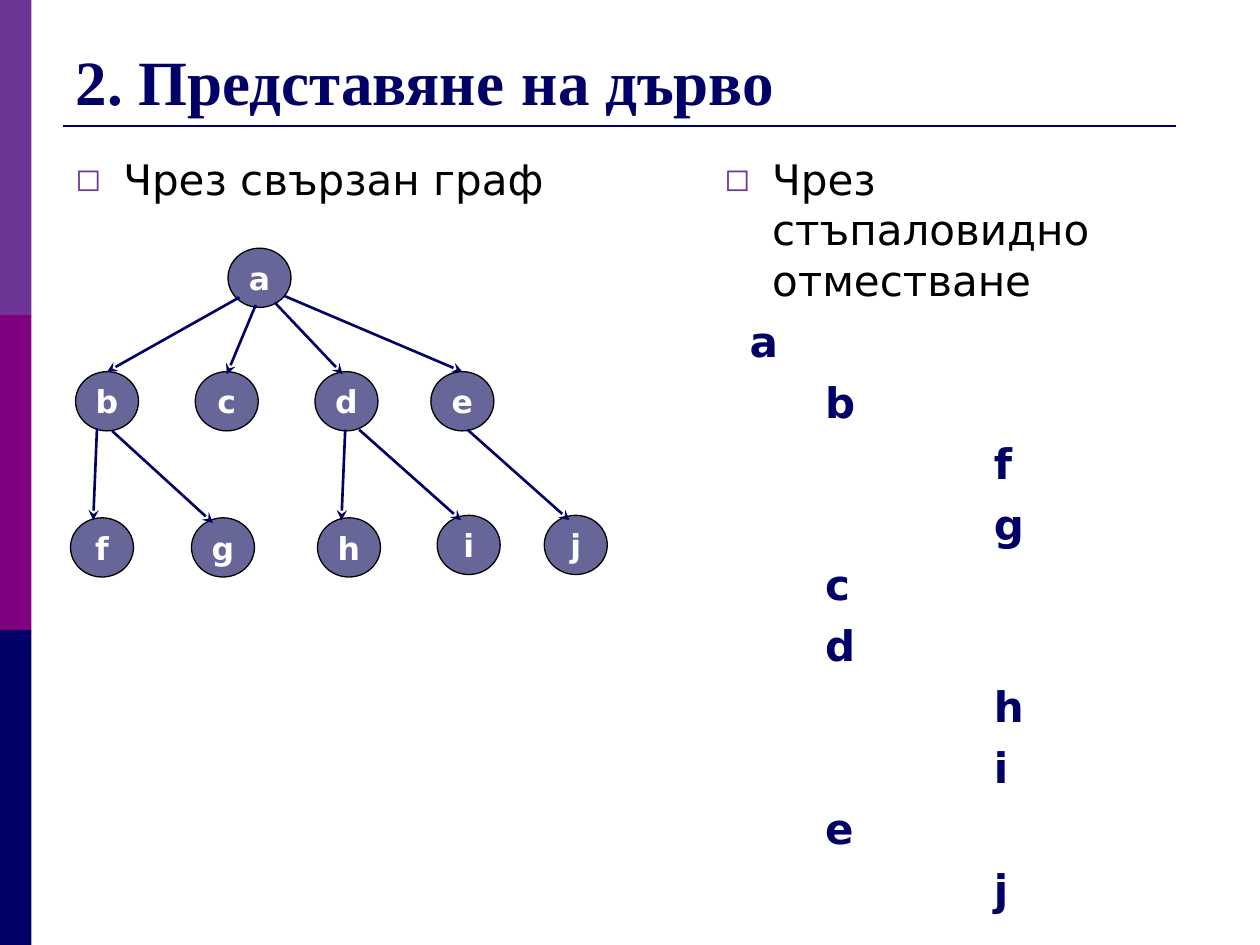
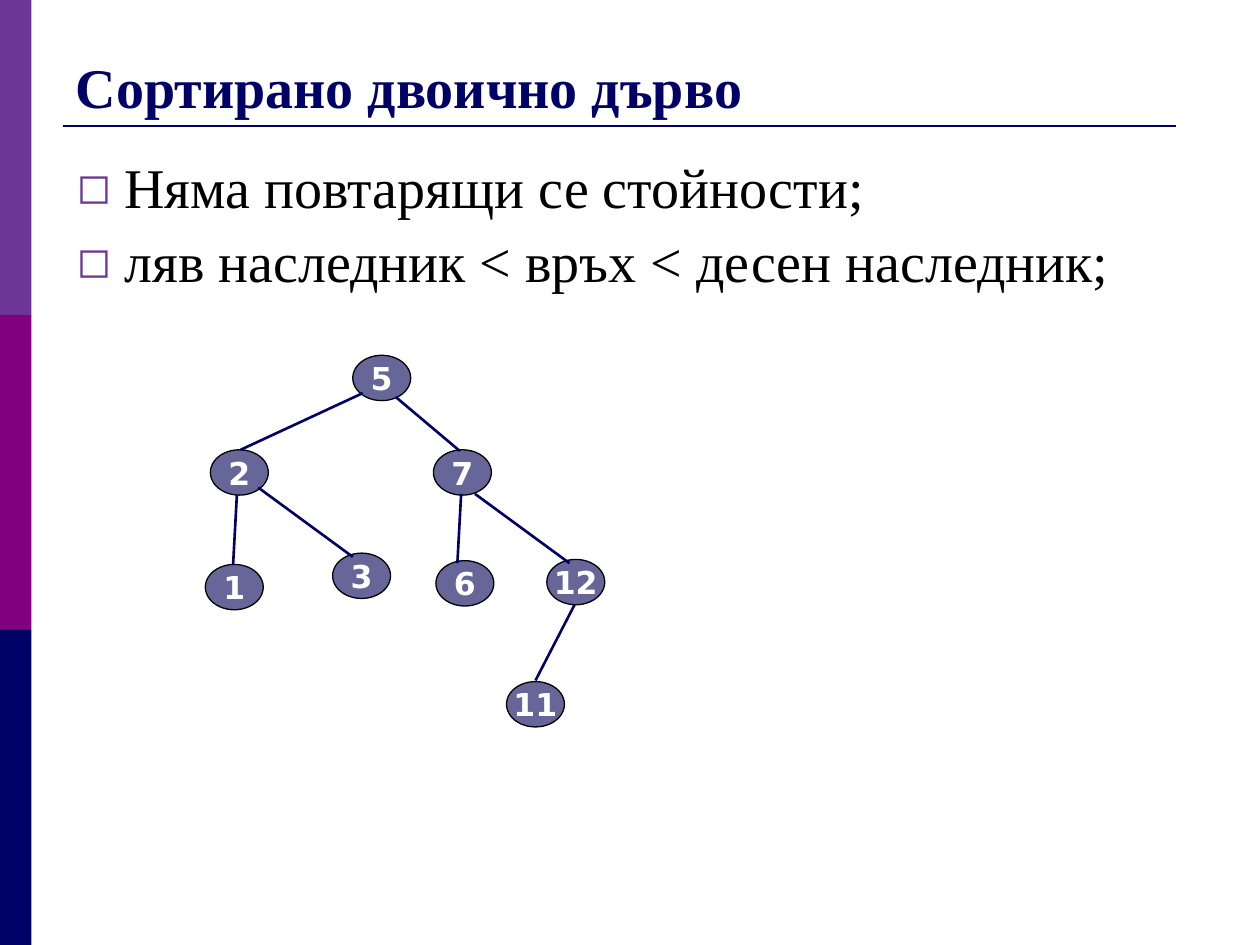
"""Build two slides about trees: ways to draw a tree and the sorted binary tree."""
from dataclasses import dataclass

from lxml.etree import SubElement
from pptx import Presentation
from pptx.dml.color import RGBColor as Color
from pptx.enum.shapes import MSO_CONNECTOR as Connector, MSO_SHAPE as Preset
from pptx.enum.text import MSO_ANCHOR as Anchor, MSO_AUTO_SIZE as AutoSize, PP_ALIGN as Align
from pptx.oxml.ns import qn
from pptx.util import Inches, Pt


@dataclass(frozen=True)
class Theme:
    navy: str = "000066"
    violet: str = "6D3696"
    purple: str = "800080"
    slate: str = "666699"
    black: str = "000000"
    white: str = "FFFFFF"
    serif: str = "Times New Roman"
    sans: str = "DejaVu Sans"
    node_size: int = 18
    edge_width: float = 1.5
    outline_width: float = 0.75
    hanging: float = 0.38


THEME = Theme()
BANDS = (THEME.violet, THEME.purple, THEME.navy)
OUTLINE_INDENTS = (0.2, 0.8, 2.14)

LINKED_TREE = {
    "node_size": (0.5, 0.47),
    "nodes": {
        "a": (1.81, 1.97),
        "b": (0.6, 2.95), "c": (1.55, 2.95), "d": (2.5, 2.95), "e": (3.42, 2.95),
        "f": (0.56, 4.11), "g": (1.52, 4.11), "h": (2.52, 4.11),
        "i": (3.47, 4.09), "j": (4.32, 4.09),
    },
    "edges": [
        (1.9, 2.36, 0.85, 2.95), (2.03, 2.42, 1.8, 2.97),
        (2.18, 2.4, 2.72, 2.97), (2.26, 2.35, 3.67, 2.95),
        (0.77, 3.4, 0.74, 4.13), (0.89, 3.42, 1.69, 4.15),
        (2.74, 3.41, 2.71, 4.13), (2.85, 3.41, 3.66, 4.13),
        (3.71, 3.41, 4.52, 4.13),
    ],
    "arrows": True,
}
SORTED_TREE = {
    "node_size": (0.46, 0.36),
    "nodes": {
        "5": (2.8, 2.82), "2": (1.67, 3.57), "7": (3.44, 3.57),
        "1": (1.63, 4.48), "3": (2.64, 4.39), "6": (3.46, 4.45),
        "12": (4.34, 4.44), "11": (4.02, 5.41),
    },
    "edges": [
        (2.88, 3.12, 1.91, 3.57), (3.14, 3.15, 3.65, 3.58),
        (1.88, 3.93, 1.85, 4.48), (2.05, 3.87, 2.8, 4.42),
        (3.66, 3.92, 3.63, 4.47), (3.77, 3.92, 4.52, 4.47),
        (4.56, 4.8, 4.25, 5.4),
    ],
    "arrows": False,
}
SLIDES = [
    {
        "title": [("2. Представяне", 36), (" ", 40), ("на дърво", 36)],
        "title_width": 9,
        "texts": [
            {"box": (0.5, 1.17, 4.42, 6), "bullets": ["Чрез свързан граф"],
             "font": THEME.sans, "size": 24, "before": 6, "spacing": 1.0},
            {"box": (5.65, 1.17, 3.85, 6.33), "bullets": ["Чрез стъпаловидно отместване"],
             "outline": [("a", 0), ("b", 1), ("f", 2), ("g", 2), ("c", 1),
                         ("d", 1), ("h", 2), ("i", 2), ("e", 1), ("j", 2)],
             "font": THEME.sans, "size": 24, "before": 6, "spacing": 1.0},
        ],
        "tree": LINKED_TREE,
    },
    {
        "title": [("Сортирано двоично дърво", 32)],
        "title_width": 9.5,
        "texts": [
            {"box": (0.51, 1.22, 8.81, 3.03),
             "bullets": ["Няма повтарящи се стойности;",
                         "ляв наследник < връх < десен наследник;"],
             "font": THEME.serif, "size": 32, "before": 8, "spacing": 0.9},
        ],
        "tree": SORTED_TREE,
    },
]


def inches(values):
    return [Inches(value) for value in values]


def apply_format(target, values):
    for name, value in values.items():
        setattr(target, name, value)


def format_font(font, name, size, color, bold=False):
    apply_format(font, {"name": name, "size": Pt(size), "bold": bold})
    font.color.rgb = Color.from_string(color)


def add_preset(slide, preset, box, fill):
    shape = slide.shapes.add_shape(preset, *inches(box))
    shape.shadow.inherit = False
    shape.fill.solid()
    shape.fill.fore_color.rgb = Color.from_string(fill)
    shape.line.fill.background()
    return shape


def add_line(slide, ends, arrow=False):
    connector = slide.shapes.add_connector(Connector.STRAIGHT, *inches(ends))
    connector.line.color.rgb = Color.from_string(THEME.navy)
    connector.line.width = Pt(THEME.edge_width)
    if arrow:
        SubElement(connector.line._get_or_add_ln(), qn("a:tailEnd"), type="stealth")
    SubElement(connector._element.spPr, qn("a:effectLst"))


def add_frame(slide):
    for row, color in enumerate(BANDS):
        add_preset(slide, Preset.RECTANGLE, (0, 2.5 * row, 0.25, 2.5), color)
    add_line(slide, (0.5, 1, 9.33, 1))


def set_title(slide, runs, width):
    title = slide.shapes.title
    box = inches((0.5, 0.3, width, 0.7))
    apply_format(title, dict(zip(("left", "top", "width", "height"), box)))
    apply_format(title.text_frame, {"vertical_anchor": Anchor.BOTTOM, "word_wrap": True,
                                    "auto_size": AutoSize.NONE})
    paragraph = title.text_frame.paragraphs[0]
    paragraph.alignment = Align.LEFT
    for text, size in runs:
        run = paragraph.add_run()
        run.text = text
        format_font(run.font, THEME.serif, size, THEME.navy, True)


def add_bullet(paragraph):
    properties = paragraph._p.get_or_add_pPr()
    color = SubElement(properties, qn("a:buClr"))
    SubElement(color, qn("a:srgbClr"), val=THEME.violet)
    SubElement(properties, qn("a:buSzPct"), val="75000")
    SubElement(properties, qn("a:buFont"), typeface=THEME.sans)
    SubElement(properties, qn("a:buChar"), char="◻")


def add_text(slide, content):
    frame = slide.shapes.add_textbox(*inches(content["box"])).text_frame
    frame.word_wrap = True
    entries = [(text, None) for text in content["bullets"]] + content.get("outline", [])
    for index, (text, level) in enumerate(entries):
        paragraph = frame.add_paragraph() if index else frame.paragraphs[0]
        paragraph.text = text
        apply_format(paragraph, {"line_spacing": content["spacing"],
                                 "space_before": Pt(content["before"] if index else 0)})
        is_bullet = level is None
        margin = THEME.hanging if is_bullet else OUTLINE_INDENTS[level]
        properties = paragraph._p.get_or_add_pPr()
        properties.set("marL", str(Inches(margin)))
        properties.set("indent", str(Inches(-margin if is_bullet else 0)))
        if is_bullet:
            add_bullet(paragraph)
        format_font(paragraph.runs[0].font, content["font"], content["size"],
                    THEME.black if is_bullet else THEME.navy, not is_bullet)


def add_node(slide, label, box):
    node = add_preset(slide, Preset.OVAL, box, THEME.slate)
    node.line.color.rgb = Color.from_string(THEME.black)
    node.line.width = Pt(THEME.outline_width)
    apply_format(node.text_frame, {"word_wrap": False, "vertical_anchor": Anchor.MIDDLE})
    paragraph = node.text_frame.paragraphs[0]
    paragraph.text = label
    paragraph.alignment = Align.CENTER
    format_font(paragraph.runs[0].font, THEME.sans, THEME.node_size, THEME.white, True)


def add_tree(slide, tree):
    for label, corner in tree["nodes"].items():
        add_node(slide, label, corner + tree["node_size"])
    for ends in tree["edges"]:
        add_line(slide, ends, tree["arrows"])


def main():
    presentation = Presentation()
    apply_format(presentation, {"slide_width": Inches(10), "slide_height": Inches(7.5)})
    for content in SLIDES:
        slide = presentation.slides.add_slide(presentation.slide_layouts[5])
        add_frame(slide)
        set_title(slide, content["title"], content["title_width"])
        for text in content["texts"]:
            add_text(slide, text)
        add_tree(slide, content["tree"])
    presentation.save("out.pptx")


if __name__ == "__main__":
    main()
